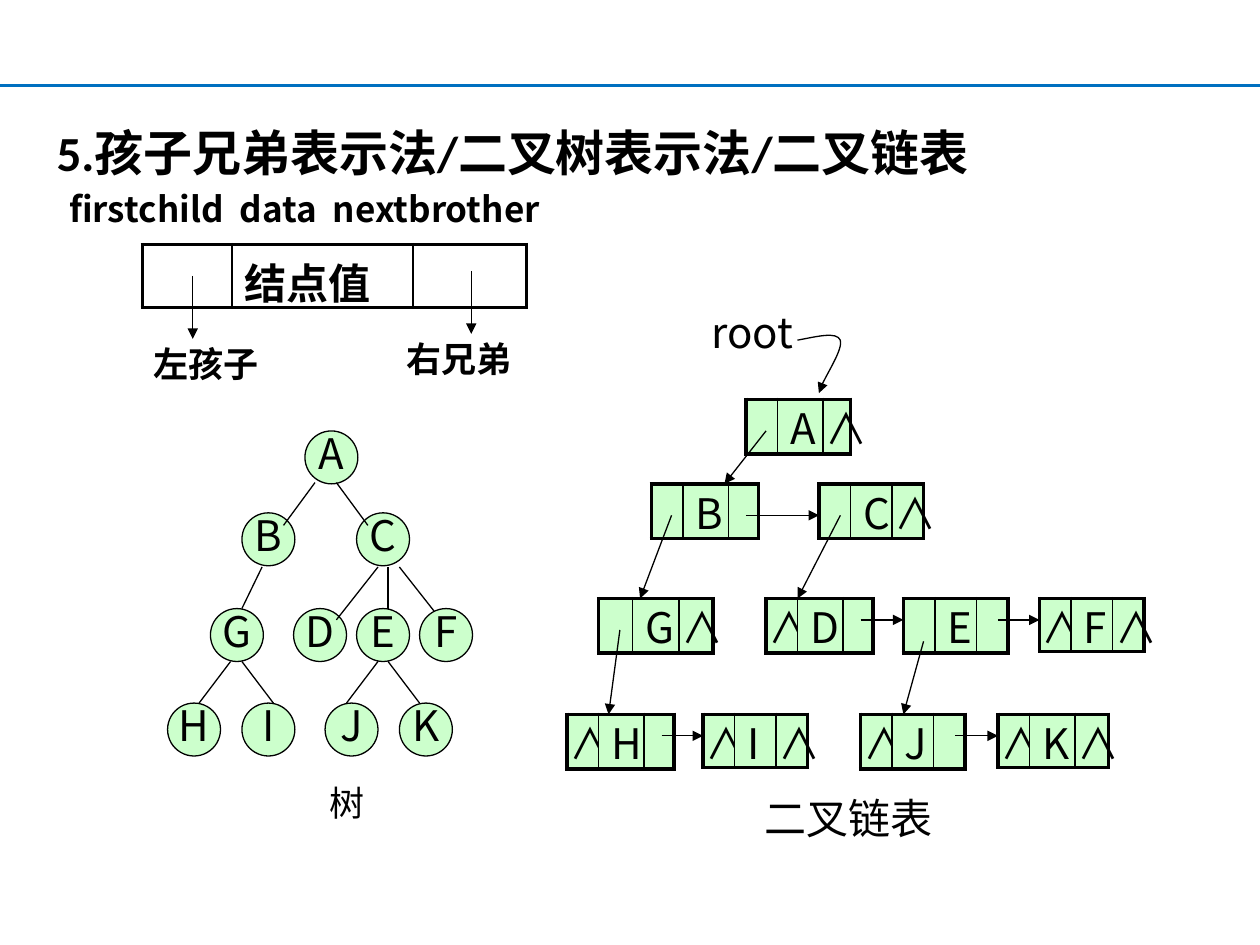
import pptx
import pptx.dml.color
import pptx.enum.shapes
import pptx.enum.text
import pptx.oxml.ns
import pptx.util
from lxml import etree

Inches = pptx.util.Inches
Pt = pptx.util.Pt
qn = pptx.oxml.ns.qn
RGB = pptx.dml.color.RGBColor
ALIGN = pptx.enum.text.PP_ALIGN
ANCHOR = pptx.enum.text.MSO_ANCHOR
FIT = pptx.enum.text.MSO_AUTO_SIZE

BLACK = RGB(0x00, 0x00, 0x00)
BLUE = RGB(0x00, 0x70, 0xC0)
GREEN = RGB(0xCC, 0xFF, 0xCC)
NOTO = "Noto Sans CJK SC"
NIL = "∧"


def put(frame, text, size=24, bold=False, font=NOTO, align=None, space=None):
    para = frame.paragraphs[0]
    para.alignment = align
    para.space_before = Pt(0)
    if space:
        para.line_spacing = space
    run = para.add_run()
    run.text = text
    run.font.size = Pt(size)
    run.font.bold = bold
    run.font.name = font
    run.font.color.rgb = BLACK
    etree.SubElement(run.font._element, qn("a:ea"), typeface=NOTO)


class Board:
    def __init__(self, slide):
        self.slide = slide
        self.shapes = slide.shapes

    def head(self, text):
        self.shapes.title._element.getparent().remove(self.shapes.title._element)
        body = self.slide.placeholders[1]
        body.left, body.top = Inches(0.45), Inches(0.97)
        body.width, body.height = Inches(7.82), Inches(0.37)
        frame = body.text_frame
        frame.auto_size = FIT.NONE
        frame.margin_left = frame.margin_right = frame.margin_top = 0
        props = frame.paragraphs[0]._p.get_or_add_pPr()
        props.set("marL", str(Inches(0.38)))
        props.set("indent", str(-Inches(0.38)))
        etree.SubElement(props, qn("a:buNone"))
        put(frame, text, size=28, bold=True, font="Calibri")

    def text(self, text, x, y, w, h, wrap=False, pad=0.1, **style):
        frame = self.shapes.add_textbox(Inches(x), Inches(y), Inches(w), Inches(h)).text_frame
        frame.word_wrap = wrap
        frame.auto_size = FIT.SHAPE_TO_FIT_TEXT
        frame.margin_left = frame.margin_right = Inches(pad)
        put(frame, text, **style)

    def tip(self, line):
        etree.SubElement(line._get_or_add_ln(), qn("a:tailEnd"), type="triangle")

    def line(self, x1, y1, x2, y2, tip=False, color=BLACK, width=0.75):
        link = self.shapes.add_connector(
            pptx.enum.shapes.MSO_CONNECTOR.STRAIGHT,
            Inches(x1), Inches(y1), Inches(x2), Inches(y2))
        link.line.color.rgb = color
        link.line.width = Pt(width)
        etree.SubElement(link._element.spPr, qn("a:effectLst"))
        if tip:
            self.tip(link.line)

    def node(self, text, x, y, size=0.42):
        oval = self.shapes.add_shape(
            pptx.enum.shapes.MSO_SHAPE.OVAL,
            Inches(x), Inches(y), Inches(size), Inches(size))
        oval.shadow.inherit = False
        oval.fill.solid()
        oval.fill.fore_color.rgb = GREEN
        oval.line.color.rgb = BLACK
        oval.line.width = Pt(0.75)
        oval.text_frame.word_wrap = False
        oval.text_frame.vertical_anchor = ANCHOR.MIDDLE
        put(oval.text_frame, text, align=ALIGN.CENTER, space=0.8)

    def edge(self, cell, left, right):
        """Set cell borders: given widths at the sides, heavy above and below."""
        props = cell._tc.get_or_add_tcPr()
        for i, (side, width) in enumerate(zip("LRTB", (left, right, 2.25, 2.25))):
            ln = etree.Element(qn(f"a:ln{side}"), w=str(Pt(width)))
            fill = etree.SubElement(ln, qn("a:solidFill"))
            etree.SubElement(fill, qn("a:srgbClr"), val=str(BLACK))
            props.insert(i, ln)

    def record(self, texts, x, y, cols, high=0.42, fill=GREEN, **style):
        """Draw a node record of three fields: first child, data, next brother."""
        table = self.shapes.add_table(
            1, 3, Inches(x), Inches(y), Inches(sum(cols)), Inches(high)).table
        table.first_row = table.horz_banding = False
        table.rows[0].height = Inches(high)
        for i, (text, width) in enumerate(zip(texts, cols)):
            table.columns[i].width = Inches(width)
            cell = table.cell(0, i)
            if fill:
                cell.fill.solid()
                cell.fill.fore_color.rgb = fill
            else:
                cell.fill.background()
            self.edge(cell, 1 if i else 2.25, 2.25 if i == 2 else 1)
            if text:
                if text == NIL:
                    cell.margin_left = cell.margin_right = Inches(0.02)
                put(cell.text_frame, text, **style)
            else:
                end = etree.SubElement(cell.text_frame.paragraphs[0]._p,
                                       qn("a:endParaRPr"), sz="2000")
                for kind in ("a:latin", "a:ea"):
                    etree.SubElement(end, qn(kind), typeface=NOTO)

    def curve(self, start, *points):
        """Draw an arrow of cubic curves, three points to each curve."""
        build = self.shapes.build_freeform(Inches(start[0]), Inches(start[1]))
        build.add_line_segments([(Inches(x), Inches(y)) for x, y in points], close=False)
        shape = build.convert_to_shape()
        shape.shadow.inherit = False
        shape.fill.background()
        shape.line.color.rgb = BLACK
        shape.line.width = Pt(0.75)
        self.tip(shape.line)
        steps = list(shape._element.iter(qn("a:lnTo")))
        for i in range(0, len(steps), 3):
            bend = etree.Element(qn("a:cubicBezTo"))
            steps[i].addprevious(bend)
            for step in steps[i:i + 3]:
                bend.append(step[0])
                step.getparent().remove(step)


def main():
    deck = pptx.Presentation()
    deck.slide_width, deck.slide_height = Inches(10), Inches(7.5)
    board = Board(deck.slides.add_slide(deck.slide_layouts[1]))
    board.line(0, 0.68, 10, 0.68, color=BLUE, width=1.5)
    board.head("5.孩子兄弟表示法/二叉树表示法/二叉链表")

    # Field layout of a record
    board.text("firstchild  data  nextbrother", 0.55, 1.44, 4.57, 0.43,
               wrap=True, pad=0, size=20, bold=True)
    board.record(("", "结点值", ""), 1.13, 1.94, (0.71, 1.44, 0.9),
                 high=0.5, fill=None, bold=True, font="Roboto")
    for text, x, y, mid in (("左孩子", 1.12, 2.67, 1.53), ("右兄弟", 3.13, 2.63, 3.74)):
        board.text(text, x, y, 1.04, 0.43, size=20, bold=True)
        board.line(mid, y - 0.48, mid, y + 0.02, tip=True)

    # Tree
    board.line(3.17, 4.5, 3.5, 4.92)
    ranks = {
        3.42: {"A": 2.42},
        4.07: {"B": 1.92, "C": 2.83},
        4.83: {"G": 1.67, "D": 2.33, "E": 2.83, "F": 3.33},
        5.58: {"H": 1.33, "I": 1.92, "J": 2.58, "K": 3.17},
    }
    for y, row in ranks.items():
        for text, x in row.items():
            board.node(text, x, y)
    for ends in (
        (2.5, 3.83, 2.25, 4.17), (2.67, 3.83, 2.92, 4.17),
        (2.08, 4.5, 1.92, 4.83), (3, 4.5, 2.67, 4.92), (3.08, 4.5, 3.08, 4.83),
        (1.83, 5.25, 1.58, 5.58), (1.92, 5.25, 2.17, 5.58),
        (3, 5.25, 2.75, 5.58), (3.08, 5.25, 3.33, 5.58),
    ):
        board.line(*ends)
    board.text("树", 2.52, 6.15, 0.48, 0.43, size=20)

    # Linked records
    board.text("root", 5.55, 2.46, 0.87, 0.42, space=0.8)
    board.text("二叉链表", 5.97, 6.24, 1.53, 0.5)
    slim, even = (0.25, 0.36, 0.22), (0.25, 0.33, 0.25)
    for texts, x, y, cols in (
        (("", "A", NIL), 5.92, 3.17, slim),
        (("", "B", ""), 5.17, 3.84, slim),
        (("", "C", NIL), 6.5, 3.84, even),
        (("", "G", NIL), 4.75, 4.75, (0.27, 0.37, 0.27)),
        ((NIL, "D", ""), 6.08, 4.75, slim),
        (("", "E", ""), 7.17, 4.75, even),
        ((NIL, "F", NIL), 8.25, 4.75, even),
        ((NIL, "H", ""), 4.5, 5.67, slim),
        ((NIL, "I", NIL), 5.58, 5.67, even),
        ((NIL, "J", ""), 6.83, 5.67, even),
        ((NIL, "K", NIL), 7.92, 5.67, (0.25, 0.36, 0.27)),
    ):
        board.record(texts, x, y, cols, space=0.8)
    for x1, x2, y in ((5.92, 6.5, 4.09), (6.83, 7.17, 4.92), (7.92, 8.25, 4.92),
                      (5.25, 5.58, 5.84), (7.58, 7.92, 5.84)):
        board.line(x1, y, x2, y, tip=True)
    for ends in ((6.08, 3.42, 5.75, 3.84), (5.33, 4.09, 5.08, 4.75),
                 (6.67, 4.09, 6.33, 4.75), (4.92, 5, 4.83, 5.67),
                 (7.33, 5.09, 7.17, 5.67)):
        board.line(*ends, tip=True)
    board.curve((6.33, 2.7), (6.49, 2.67), (6.64, 2.63), (6.67, 2.7),
                (6.69, 2.77), (6.51, 3.05), (6.5, 3.12))
    deck.save("out.pptx")


if __name__ == "__main__":
    main()
